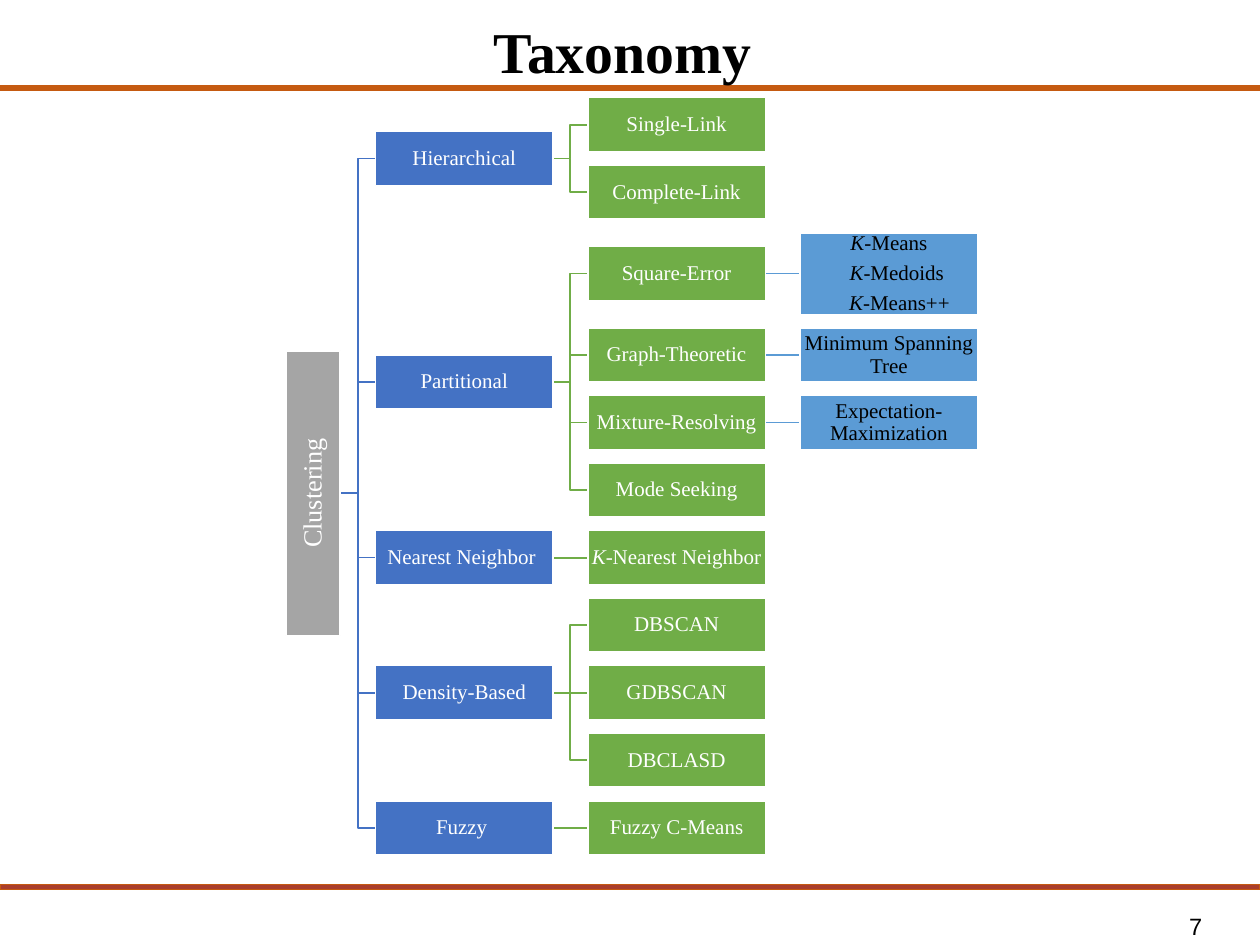
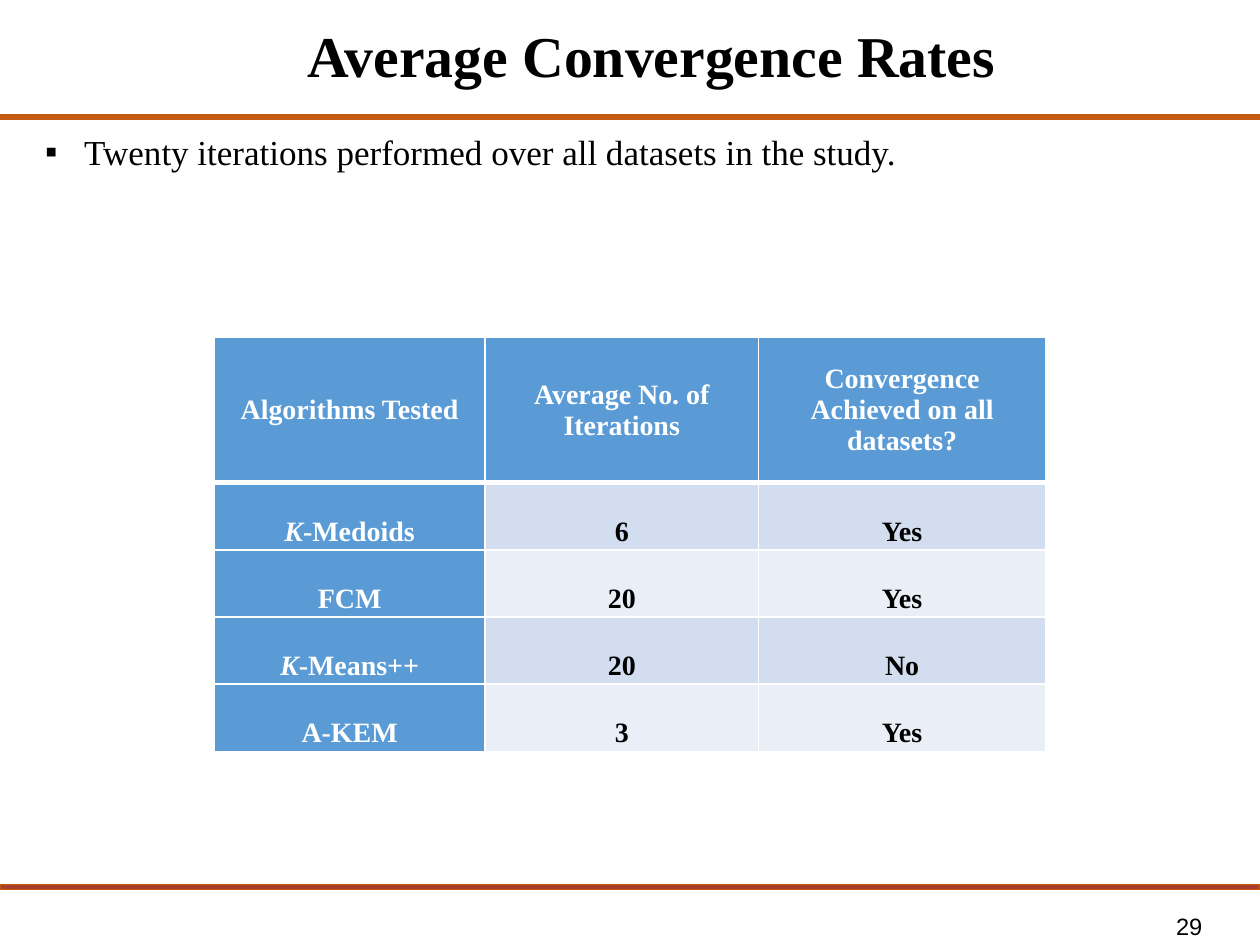
from lxml import etree
from pptx import Presentation
from pptx.dml.color import RGBColor
from pptx.enum.shapes import MSO_CONNECTOR, MSO_SHAPE
from pptx.enum.text import MSO_ANCHOR, PP_ALIGN
from pptx.oxml.ns import qn
from pptx.util import Inches, Pt

RECT = MSO_SHAPE.RECTANGLE
LINE = MSO_CONNECTOR.STRAIGHT
MID, LOW, TOP = MSO_ANCHOR.MIDDLE, MSO_ANCHOR.BOTTOM, MSO_ANCHOR.TOP
LEFT, MIDDLE, RIGHT = PP_ALIGN.LEFT, PP_ALIGN.CENTER, PP_ALIGN.RIGHT

WHITE = RGBColor(0xFF, 0xFF, 0xFF)
BLACK = RGBColor(0x00, 0x00, 0x00)
RUST = RGBColor(0xC5, 0x5A, 0x11)
BRICK = RGBColor(0xAA, 0x3E, 0x2C)
GRAY = RGBColor(0xA5, 0xA5, 0xA5)
BLUE = RGBColor(0x44, 0x72, 0xC4)
GREEN = RGBColor(0x70, 0xAD, 0x47)
SKY = RGBColor(0x5B, 0x9B, 0xD5)
PALE = RGBColor(0xD2, 0xDE, 0xEF)
MIST = RGBColor(0xEA, 0xEF, 0xF7)

SERIF = "Times New Roman"
HEAD = {"name": SERIF, "size": Pt(33), "bold": True}
BODY = {"name": SERIF, "size": Pt(20)}
NODE = {"name": SERIF, "size": Pt(12)}
ROOT = {"name": SERIF, "size": Pt(15)}
CELL = {"name": SERIF, "size": Pt(16), "bold": True}
PAGE = {"name": "Arial", "size": Pt(13.5)}


def write(para, text, form, color, align, gap=1.0):
    para.alignment = align
    para.line_spacing = gap
    parts = ["K", text[1:]] if text.startswith("K-") else [text]
    for part in parts:
        run = para.add_run()
        run.text = part
        run.font.color.rgb = color
        run.font.italic = part == "K"
        for key, value in form.items():
            setattr(run.font, key, value)


def box(slide, area, fill=None, line=None, anchor=MID, inset=None):
    area = [Inches(v) for v in area]
    if fill is None:
        shape = slide.shapes.add_textbox(*area)
    else:
        shape = slide.shapes.add_shape(RECT, *area)
        shape.shadow.inherit = False
        shape.fill.solid()
        shape.fill.fore_color.rgb = fill
        shape.line.color.rgb = line
        shape.line.width = Pt(1)
    frame = shape.text_frame
    frame.word_wrap = True
    frame.vertical_anchor = anchor
    if inset is not None:
        for side in ("left", "top", "right", "bottom"):
            setattr(frame, f"margin_{side}", Inches(inset))
    return shape


deck = Presentation()
WIDE, HIGH = 10, 7.5
deck.slide_width, deck.slide_height = Inches(WIDE), Inches(HIGH)
blank = deck.slide_layouts[6]

pages = [
    ("Taxonomy ", "7", 0.68, (1.25, 0.09, 7.5, 0.64)),
    ("Average Convergence Rates", "29", 0.91, (1.42, 0.09, 7.5, 0.67)),
]
for title, num, rule, area in pages:
    slide = deck.slides.add_slide(blank)
    foot = box(slide, (7.39, 7.2, 2.25, 0.3))
    write(foot.text_frame.paragraphs[0], num, PAGE, BLACK, RIGHT)
    box(slide, (0, 7.02, WIDE, 0.04), BRICK, RUST)
    box(slide, (0, rule, WIDE, 0.04), RUST, RUST)
    top = box(slide, area, anchor=LOW)
    write(top.text_frame.paragraphs[0], title, HEAD, BLACK, MIDDLE, 0.9)
tree, rates = deck.slides

TREE = [
    ("Hierarchical", [("Single-Link", []), ("Complete-Link", [])]),
    ("Partitional", [
        ("Square-Error", ["K-Means", "K-Medoids", "K-Means++"]),
        ("Graph-Theoretic", ["Minimum Spanning Tree"]),
        ("Mixture-Resolving", ["Expectation-Maximization"]),
        ("Mode Seeking", []),
    ]),
    ("Nearest Neighbor ", [("K-Nearest Neighbor", [])]),
    ("Density-Based", [("DBSCAN", []), ("GDBSCAN", []), ("DBCLASD", [])]),
    ("Fuzzy ", [("Fuzzy C-Means", [])]),
]
BOXW, BOXH, TALL = 1.41, 0.43, 0.65
ROW = 0.536
COLS = [2.98 + 1.685 * c for c in range(3)]
GAP = 0.28
ROOTW = 2.26

nodes, links, mids = [], [], []
y = 0.99 - ROW
for branch, leaves in TREE:
    spots = []
    for leaf, notes in leaves:
        extra = (TALL - BOXH) / 2 if len(notes) > 1 else 0
        y += ROW + extra
        spots.append(y)
        nodes.append((1, y, BOXH, [leaf], GREEN, WHITE))
        if notes:
            tall = TALL if extra else BOXH
            nodes.append((2, y, tall, notes, SKY, BLACK))
            links.append((2, y, y, SKY))
        y += extra
    mid = (spots[0] + spots[-1]) / 2
    mids.append(mid)
    nodes.append((0, mid, BOXH, [branch], BLUE, WHITE))
    links += [(1, mid, spot, GREEN) for spot in spots]
hub = (mids[0] + mids[-1]) / 2
links += [(0, hub, mid, BLUE) for mid in mids]

for col, start, end, color in links:
    right = COLS[col]
    left, bend = right - GAP, right - GAP / 2
    if abs(start - end) < 0.01:
        ends = [Inches(v) for v in (left, start, right, end)]
        link = tree.shapes.add_connector(LINE, *ends)
    else:
        points = [(bend, start), (bend, end), (right, end)]
        path = tree.shapes.build_freeform(Inches(left), Inches(start))
        path.add_line_segments([(Inches(a), Inches(b)) for a, b in points], close=False)
        link = path.convert_to_shape()
        link.fill.background()
    link.line.color.rgb = color
    link.line.width = Pt(1)
    etree.SubElement(link.element.spPr, qn("a:effectLst"))

center = COLS[0] - GAP - BOXH / 2
area = (center - ROOTW / 2, hub - BOXH / 2, ROOTW, BOXH)
root = box(tree, area, GRAY, WHITE, inset=0.01)
root.rotation = 270
write(root.text_frame.paragraphs[0], "Clustering", ROOT, WHITE, MIDDLE, 0.9)

for col, mid, tall, lines, fill, ink in nodes:
    area = (COLS[col], mid - tall / 2, BOXW, tall)
    frame = box(tree, area, fill, WHITE, inset=0.01).text_frame
    for n, text in enumerate(lines):
        para = frame.add_paragraph() if n else frame.paragraphs[0]
        write(para, text, NODE, ink, MIDDLE, 0.9)
        para.space_after = Pt(4.2)
        if n:
            para._p.get_or_add_pPr().set("marL", str(Pt(6 + 3 * n)))

note = box(rates, (0.26, 0.99, 9.35, 0.44), anchor=TOP)
para = note.text_frame.paragraphs[0]
text = "Twenty iterations performed over all datasets in the study."
write(para, text, BODY, BLACK, LEFT)
props = para._p.get_or_add_pPr()
props.set("marL", str(Inches(0.31)))
props.set("indent", str(Inches(-0.31)))
etree.SubElement(props, qn("a:buFont"), typeface="Arial")
etree.SubElement(props, qn("a:buChar"), char="▪")

ROWS = [
    ("Algorithms Tested", "Average No. of Iterations", "Convergence Achieved on all datasets?"),
    ("K-Medoids", "6", "Yes"),
    ("FCM", "20", "Yes"),
    ("K-Means++", "20", "No"),
    ("A-KEM", "3", "Yes"),
]
area = [Inches(v) for v in (1.7, 2.68, 6.6, 3.27)]
grid = rates.shapes.add_table(len(ROWS), 3, *area).table
grid.first_col = True
for col, wide in zip(grid.columns, (2.15, 2.17, 2.28)):
    col.width = Inches(wide)
for r, row in enumerate(ROWS):
    grid.rows[r].height = Inches(0.53 if r else 1.15)
    for c, text in enumerate(row):
        cell = grid.cell(r, c)
        cell.vertical_anchor = MID
        cell.margin_left = cell.margin_right = Inches(0.07)
        cell.margin_top = cell.margin_bottom = 0
        key = r == 0 or c == 0
        for side in "LRTB":
            thick = (r == 0 and side == "B") or (r == 1 and side == "T")
            edge = etree.SubElement(
                cell._tc.get_or_add_tcPr(), qn(f"a:ln{side}"), w=str(Pt(3 if thick else 1)))
            paint = etree.SubElement(edge, qn("a:solidFill"))
            etree.SubElement(paint, qn("a:srgbClr"), val=str(WHITE))
        cell.fill.solid()
        cell.fill.fore_color.rgb = SKY if key else PALE if r % 2 else MIST
        ink = WHITE if key else BLACK
        write(cell.text_frame.paragraphs[0], text, CELL, ink, MIDDLE, 2.0 if r else 1.0)

deck.save("out.pptx")
